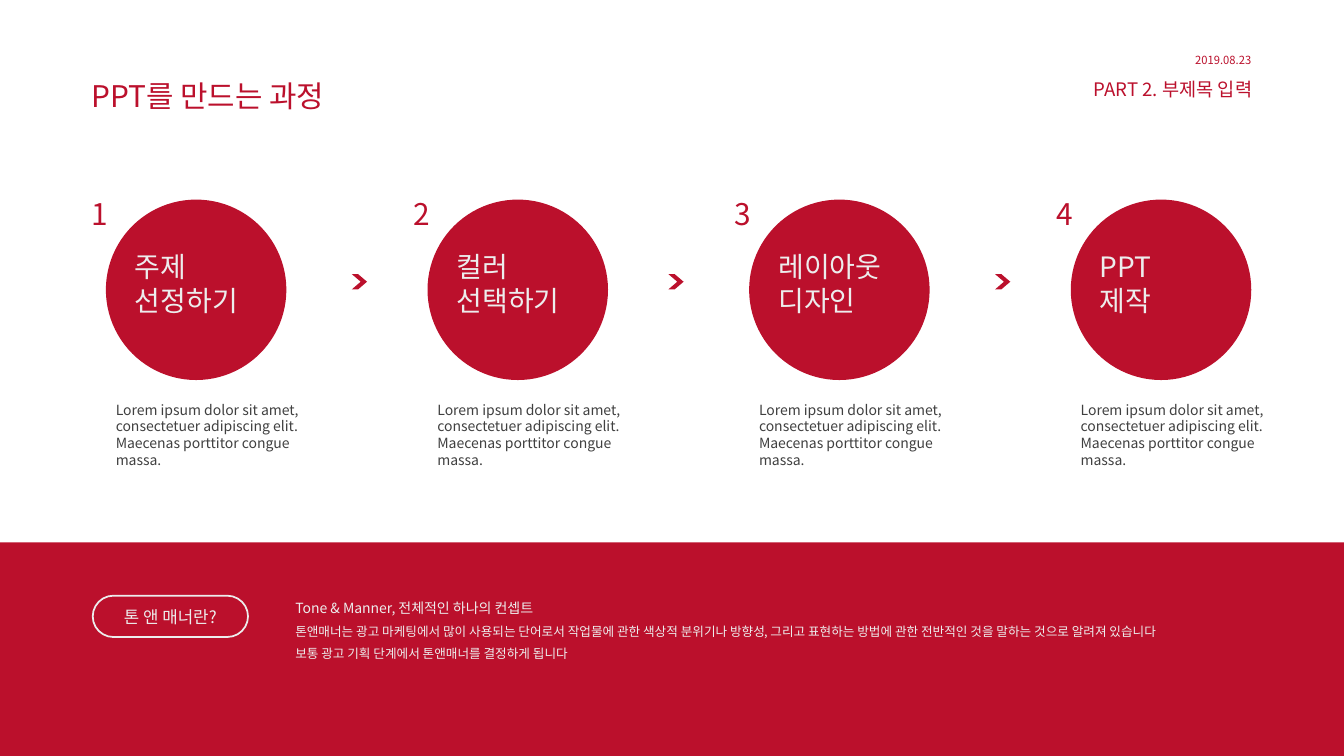
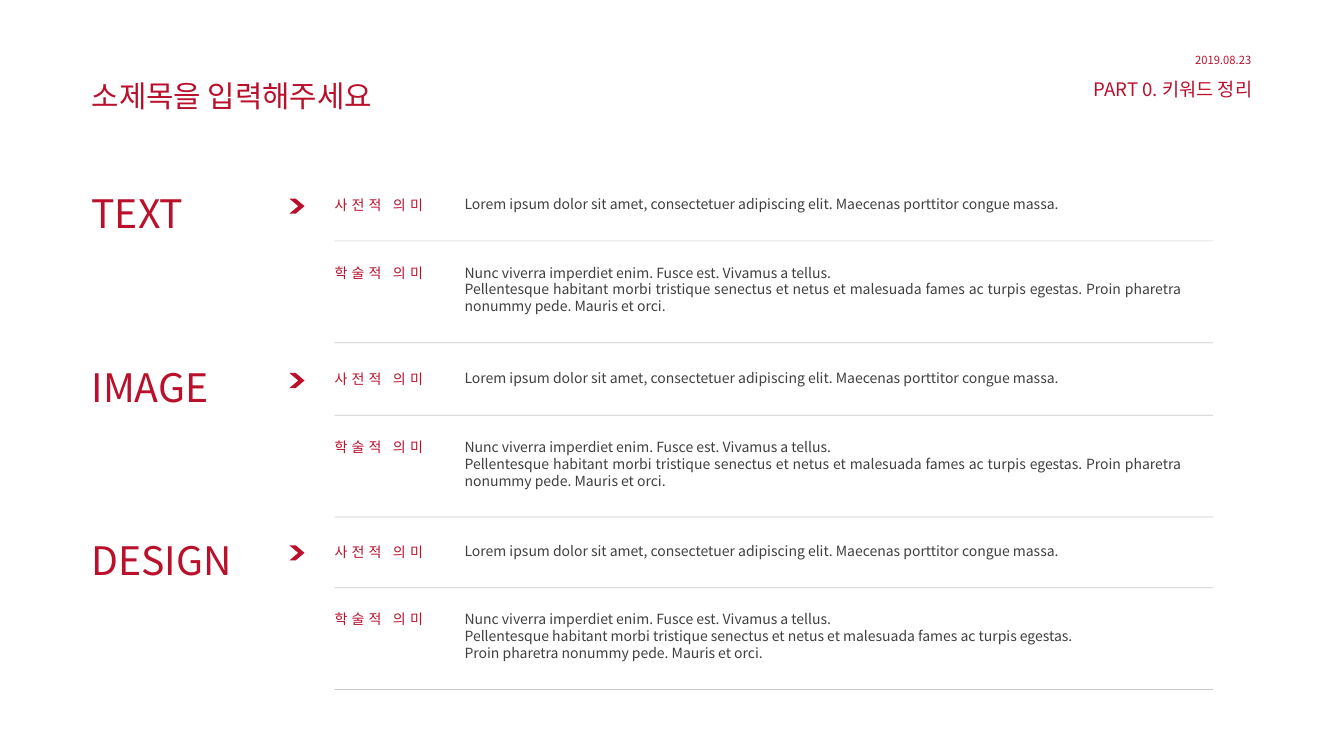
"""Build two red-and-white slides: a four-step process and a keyword summary."""
from lxml import etree
from pptx import Presentation
from pptx.dml.color import RGBColor
from pptx.enum.shapes import MSO_CONNECTOR, MSO_SHAPE
from pptx.enum.text import MSO_ANCHOR, MSO_AUTO_SIZE, PP_ALIGN
from pptx.oxml.ns import qn
from pptx.util import Inches, Pt

LEFT, CENTER, RIGHT, JUSTIFY = PP_ALIGN.LEFT, PP_ALIGN.CENTER, PP_ALIGN.RIGHT, PP_ALIGN.JUSTIFY
TOP, MIDDLE = MSO_ANCHOR.TOP, MSO_ANCHOR.MIDDLE
RECT, ELLIPSE = MSO_SHAPE.RECTANGLE, MSO_SHAPE.OVAL
CHEVRON, PILL = MSO_SHAPE.CHEVRON, MSO_SHAPE.ROUNDED_RECTANGLE
STRAIGHT = MSO_CONNECTOR.STRAIGHT

FONT = "Noto Sans CJK KR"
COLORS = {"red": "BB102C", "light": "EDEDED", "text": "404040", "rule": "BFBFBF"}
LOREM = "Lorem ipsum dolor sit amet, consectetuer adipiscing elit. Maecenas porttitor congue massa."
NUNC = "Nunc viverra imperdiet enim. Fusce est. Vivamus a tellus."
HABITANT = "Pellentesque habitant morbi tristique senectus et netus et malesuada fames ac turpis egestas."
PROIN = "Proin pharetra nonummy pede. Mauris et orci."


def add_text(s, box, text, sp=None, size=10, color="red", align=LEFT, anchor=TOP,
             tracking=None, line_spacing=None):
    pos = [Inches(v) for v in box]
    sp = sp or s.shapes.add_textbox(*pos)
    sp.left, sp.top, sp.width, sp.height = pos
    tf = sp.text_frame
    tf.word_wrap = True
    tf.auto_size = MSO_AUTO_SIZE.NONE
    tf.vertical_anchor = anchor
    for i, line in enumerate(text.split("\n")):
        p = tf.add_paragraph() if i else tf.paragraphs[0]
        p.alignment = align
        if line_spacing:
            p.line_spacing = line_spacing
        r = p.add_run()
        r.text = line
        r.font.name = FONT
        r.font.size = Pt(size)
        r.font.color.rgb = RGBColor.from_string(COLORS[color])
        rPr = r.font._element
        etree.SubElement(rPr, qn("a:ea"), typeface=FONT)
        if tracking:
            rPr.set("spc", str(tracking * 100))
    return tf


def add_shape(s, kind, box, fill=None, line=None, adj=None):
    sp = s.shapes.add_shape(kind, *[Inches(v) for v in box])
    sp.shadow.inherit = False
    if fill:
        sp.fill.solid()
        sp.fill.fore_color.rgb = RGBColor.from_string(COLORS[fill])
    else:
        sp.fill.background()
    if line:
        sp.line.color.rgb = RGBColor.from_string(COLORS[line])
        sp.line.width = Pt(1.25)
    else:
        sp.line.fill.background()
    if adj:
        sp.adjustments[0] = adj
    return sp


prs = Presentation()
prs.slide_width, prs.slide_height = Inches(13.33), Inches(7.5)

slides = []
for title, part in [("PPT를 만드는 과정", "PART 2. 부제목 입력"),
                    ("소제목을 입력해주세요", "PART 0. 키워드 정리")]:
    s = prs.slides.add_slide(prs.slide_layouts[5])
    add_text(s, (0.81, 0.72, 4.51, 0.46), title, sp=s.shapes.title, size=21.3)
    add_text(s, (8.01, 0.72, 4.51, 0.33), part, size=13.3, align=RIGHT)
    add_text(s, (10.92, 0.48, 1.59, 0.24), "2019.08.23", size=8, align=RIGHT)
    slides.append(s)
process, keywords = slides

steps = ["주제\n선정하기", "컬러\n선택하기", "레이아웃\n디자인", "PPT\n제작"]
for i, step in enumerate(steps):
    x = 1.05 + 3.19 * i
    add_shape(process, ELLIPSE, (x, 1.98, 1.79, 1.79), fill="red")
    add_text(process, (x - 0.24, 1.89, 0.65, 0.46), str(i + 1), size=21.3)
    add_text(process, (x + 0.19, 2.43, 1.41, 0.77), step, size=20, color="light")
    add_text(process, (x, 3.93, 2.06, 0.77), LOREM, color="text")
for x in (3.49, 6.63, 9.87):
    add_shape(process, CHEVRON, (x, 2.72, 0.15, 0.15), fill="red", adj=0.584)

add_shape(process, RECT, (0, 5.38, 13.33, 2.12), fill="red")
pill_box = (0.92, 5.91, 1.54, 0.41)
pill = add_shape(process, PILL, pill_box, line="light", adj=0.5)
add_text(process, pill_box, "톤 앤 매너란?", sp=pill, size=12, color="light",
         align=CENTER, anchor=MIDDLE)
tf = add_text(process, (2.83, 5.81, 9.68, 0.78),
              "Tone & Manner, 전체적인 하나의 컨셉트\n"
              "톤앤매너는 광고 마케팅에서 많이 사용되는 단어로서 작업물에 관한 색상적 분위기나 방향성, "
              "그리고 표현하는 방법에 관한 전반적인 것을 말하는 것으로 알려져 있습니다\n"
              "보통 광고 기획 단계에서 톤앤매너를 결정하게 됩니다",
              size=9, color="light", line_spacing=1.5)
tf.paragraphs[0].runs[0].font.size = Pt(10)

academic = f"{NUNC}\n{HABITANT} {PROIN}"
for y, keyword, meaning in [(1.83, "TEXT", academic),
                            (3.56, "IMAGE", academic),
                            (5.27, "DESIGN", f"{NUNC}\n{HABITANT}\n{PROIN}")]:
    add_text(keywords, (0.81, y, 2.37, 0.57), keyword, size=28)
    add_shape(keywords, CHEVRON, (2.87, y + 0.14, 0.15, 0.15), fill="red", adj=0.584)
    add_text(keywords, (3.22, y + 0.07, 1.22, 0.28), "사전적 의미", tracking=3)
    add_text(keywords, (4.51, y + 0.06, 8.06, 0.28), LOREM, color="text", align=JUSTIFY)
    add_text(keywords, (3.22, y + 0.74, 1.22, 0.28), "학술적 의미", tracking=3)
    add_text(keywords, (4.51, y + 0.74, 7.3, 0.61), meaning, color="text", align=JUSTIFY)
    for rule_y in (y + 0.56, y + 1.57):
        rule = keywords.shapes.add_connector(STRAIGHT, Inches(3.32), Inches(rule_y),
                                             Inches(12.03), Inches(rule_y))
        rule.line.color.rgb = RGBColor.from_string(COLORS["rule"])
        rule.line.width = Pt(0.5)
        spPr = rule._element.spPr
        etree.SubElement(spPr.find(".//" + qn("a:srgbClr")), qn("a:alpha"), val="81000")
        etree.SubElement(spPr, qn("a:effectLst"))

prs.save("out.pptx")
